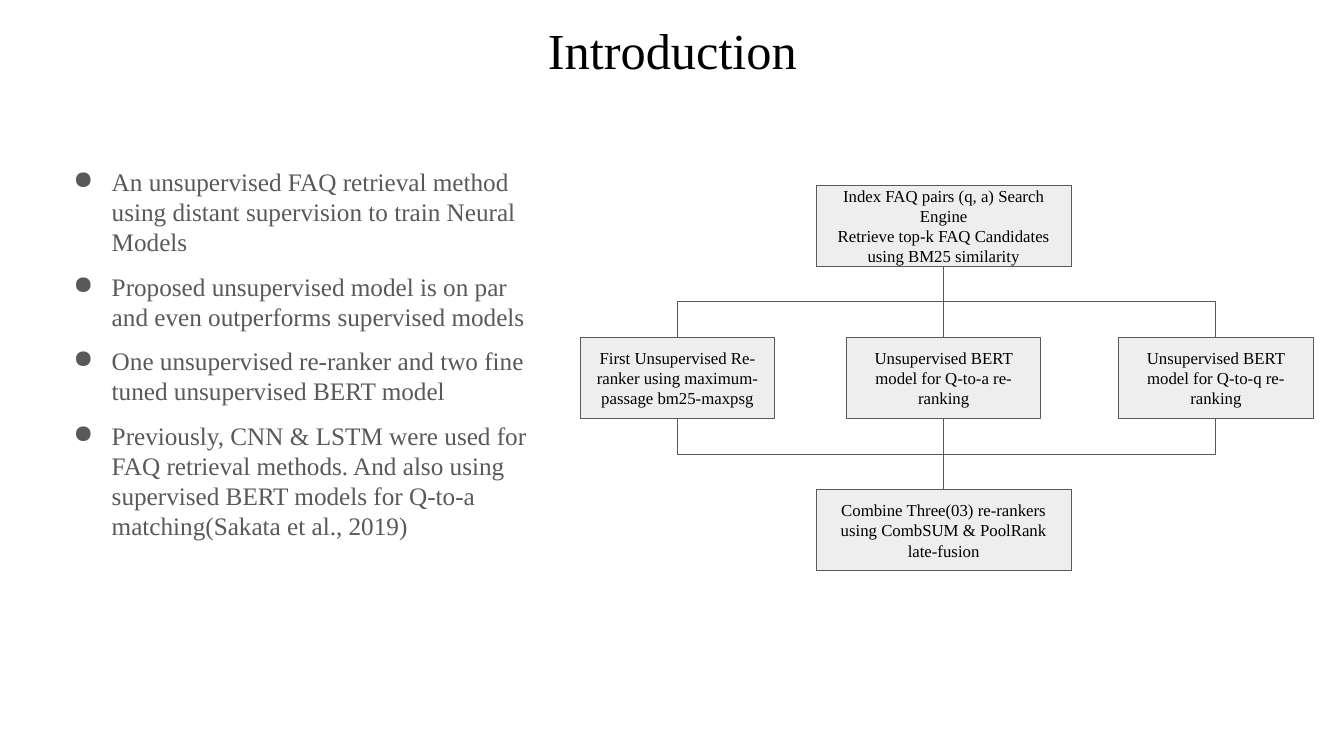
import pptx
import pptx.dml.color
import pptx.enum.shapes
import pptx.enum.text
import pptx.util
import lxml.etree

In = pptx.util.Inches
Pt = pptx.util.Pt
CENTER = pptx.enum.text.PP_ALIGN.CENTER
MIDDLE = pptx.enum.text.MSO_ANCHOR.MIDDLE
BOTTOM = pptx.enum.text.MSO_ANCHOR.BOTTOM
CONNECTOR = pptx.enum.shapes.MSO_CONNECTOR
A = "{http://schemas.openxmlformats.org/drawingml/2006/main}"
COLORS = {"text": "000000", "muted": "595959", "box": "EEEEEE"}


def rgb(name):
    return pptx.dml.color.RGBColor.from_string(COLORS[name])


def style(p, size, color):
    p.font.name = "Times New Roman"
    p.font.size = Pt(size)
    p.font.color.rgb = rgb(color)


prs = pptx.Presentation()
prs.slide_width, prs.slide_height = In(13.33), In(7.5)
s = prs.slides.add_slide(prs.slide_layouts[6])

# Title
tf = s.shapes.add_textbox(In(1.67), In(0.2), In(10), In(0.65)).text_frame
tf.word_wrap = True
tf.vertical_anchor = BOTTOM
p = tf.paragraphs[0]
p.text = "Introduction"
p.alignment = CENTER
p.line_spacing = 0.9
style(p, 36, "text")

# Bullet list
bullets = [
    "An unsupervised FAQ retrieval method using distant supervision to train Neural Models",
    "Proposed unsupervised model is on par and even outperforms supervised models",
    "One unsupervised re-ranker and two fine tuned unsupervised BERT model",
    "Previously, CNN & LSTM were used for FAQ retrieval methods. And also using "
    "supervised BERT models for Q-to-a matching(Sakata et al., 2019)",
]
tf = s.shapes.add_textbox(In(0.51), In(1.3), In(4.99), In(5.67)).text_frame
tf.word_wrap = True
tf.margin_top = In(0.35)
for i, bullet in enumerate(bullets):
    p = tf.paragraphs[0] if i == 0 else tf.add_paragraph()
    p.text = bullet
    p.space_before = Pt(10 if i else 0)
    style(p, 18, "muted")
    pPr = p._p.get_or_add_pPr()
    pPr.set("marL", str(In(0.5)))
    pPr.set("indent", str(-In(0.38)))
    mark = lxml.etree.Element(A + "buChar", char="●")
    pPr.find(A + "defRPr").addprevious(mark)

# Flow chart grid: column centres, row tops and box sizes
COLS = [6.72, 9.36, 12.06]
MID = COLS[1]
ROWS = [1.84 + 1.51 * i for i in range(3)]
BOX_H, WIDE, NARROW = 0.8, 2.53, 1.93
GAP = ROWS[1] - ROWS[0] - BOX_H

boxes = [
    (MID, 0, WIDE, "Index FAQ pairs (q, a) Search Engine\v"
                   "Retrieve top-k FAQ Candidates using BM25 similarity"),
    (COLS[0], 1, NARROW, "First Unsupervised Re-ranker using maximum-passage bm25-maxpsg"),
    (COLS[1], 1, NARROW, "Unsupervised BERT model for Q-to-a re-ranking"),
    (COLS[2], 1, NARROW, "Unsupervised BERT model for Q-to-q re-ranking"),
    (MID, 2, WIDE, "Combine Three(03) re-rankers using CombSUM & PoolRank late-fusion"),
]
for center, row, width, label in boxes:
    sp = s.shapes.add_shape(pptx.enum.shapes.MSO_SHAPE.RECTANGLE,
                            In(center - width / 2), In(ROWS[row]), In(width), In(BOX_H))
    sp.shadow.inherit = False
    sp.fill.solid()
    sp.fill.fore_color.rgb = rgb("box")
    sp.line.color.rgb = rgb("muted")
    sp.line.width = Pt(0.75)
    tf = sp.text_frame
    tf.word_wrap = True
    tf.vertical_anchor = MIDDLE
    tf.margin_left = tf.margin_right = tf.margin_top = tf.margin_bottom = In(0.1)
    p = tf.paragraphs[0]
    p.text = label
    p.alignment = CENTER
    style(p, 12, "text")

# Links fan out from the top box and back in to the bottom one
links = [(MID, col, 0) for col in COLS] + [(col, MID, 1) for col in COLS]
for start, end, row in links:
    top = ROWS[row] + BOX_H
    if start == end:
        line = s.shapes.add_connector(CONNECTOR.STRAIGHT,
                                      In(start), In(top), In(end), In(top + GAP))
    else:
        # An elbow runs sideways first, so it is laid flat and turned upright
        x, y = (start + end) / 2, top + GAP / 2
        half_w = GAP / 2 if start > end else -GAP / 2
        half_h = abs(start - end) / 2
        line = s.shapes.add_connector(CONNECTOR.ELBOW, In(x - half_w), In(y - half_h),
                                      In(x + half_w), In(y + half_h))
        turn = 90 if start > end else 270
        line._element.spPr.find(A + "xfrm").set("rot", str(turn * 60000))
    line.line.color.rgb = rgb("muted")
    line.line.width = Pt(0.75)
    lxml.etree.SubElement(line._element.spPr, A + "effectLst")

prs.save("out.pptx")
